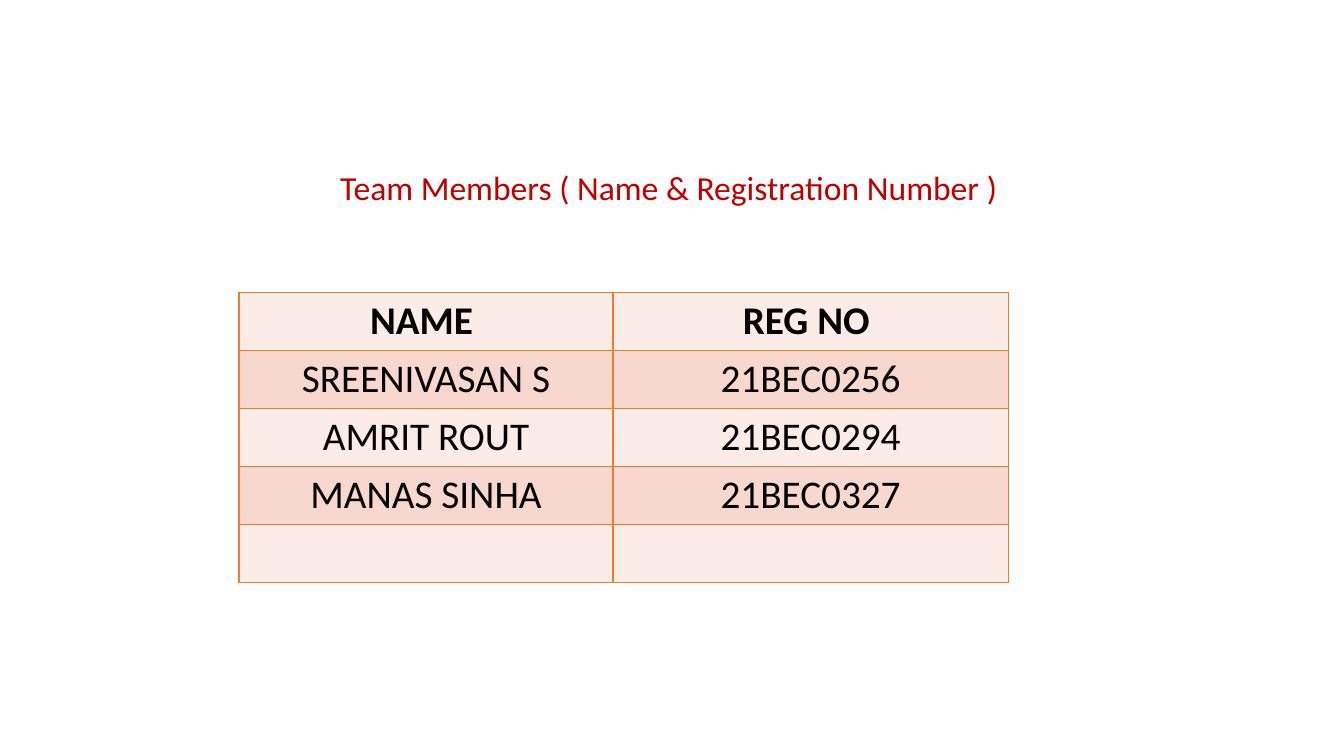
from dataclasses import dataclass

from lxml.etree import SubElement
from pptx import Presentation
from pptx.dml.color import RGBColor
from pptx.enum.text import MSO_ANCHOR as Anchor, PP_ALIGN as Align
from pptx.oxml.ns import qn
from pptx.util import Inches, Pt

FONT = "Calibri"
RED, BLACK, ORANGE = "C00000", "000000", "ED7D31"
BANDS = ("FCECE8", "F8D7CE")
WIDTHS = (3.71, 3.92)
ROW = 0.57


@dataclass
class Member:
    name: str = ""
    reg: str = ""


ROWS = [
    Member("NAME ", "REG NO "),
    Member("SREENIVASAN S", "21BEC0256"),
    Member("AMRIT ROUT", "21BEC0294"),
    Member("MANAS SINHA", "21BEC0327"),
    Member(),
]


def color(code: str) -> RGBColor:
    return RGBColor.from_string(code)


def style(para, size: float, code: str, bold: bool = False) -> None:
    para.alignment = Align.CENTER
    font = para.font
    font.name, font.size, font.bold = FONT, Pt(size), bold
    font.color.rgb = color(code)


def border(cell, code: str) -> None:
    props = cell._tc.get_or_add_tcPr()
    for side in ("a:lnL", "a:lnR", "a:lnT", "a:lnB"):
        line = SubElement(props, qn(side), w=str(Pt(1)))
        fill = SubElement(line, qn("a:solidFill"))
        SubElement(fill, qn("a:srgbClr"), val=code)


def draw_cell(cell, text: str, row: int) -> None:
    border(cell, ORANGE)
    cell.fill.solid()
    cell.fill.fore_color.rgb = color(BANDS[row % 2])
    cell.text = text
    style(cell.text_frame.paragraphs[0], 28, BLACK, bold=row == 0)


def draw_table(slide, rows: list[Member]) -> None:
    table = slide.shapes.add_table(
        len(rows), len(WIDTHS), Inches(2.37), Inches(2.9),
        Inches(sum(WIDTHS)), Inches(ROW * len(rows))).table
    for col, width in zip(table.columns, WIDTHS):
        col.width = Inches(width)
    for i, member in enumerate(rows):
        for j, text in enumerate((member.name, member.reg)):
            draw_cell(table.cell(i, j), text, i)


def draw_heading(slide, text: str) -> None:
    box = slide.placeholders[1]
    box.left, box.top = Inches(1.67), Inches(1.65)
    box.width, box.height = Inches(10), Inches(1.81)
    frame = box.text_frame
    frame.text = text
    frame.vertical_anchor = Anchor.TOP
    para = frame.paragraphs[0]
    para.line_spacing, para.space_before = 0.9, Pt(10)
    style(para, 24, RED)


def main() -> None:
    deck = Presentation()
    deck.slide_width, deck.slide_height = Inches(13.33), Inches(7.5)
    slide = deck.slides.add_slide(deck.slide_layouts[0])

    # The slide has a subtitle only
    title = slide.shapes.title._element
    title.getparent().remove(title)

    # Heading and team table
    draw_heading(slide, "Team Members ( Name & Registration Number ) ")
    draw_table(slide, ROWS)
    deck.save("out.pptx")


if __name__ == "__main__":
    main()
